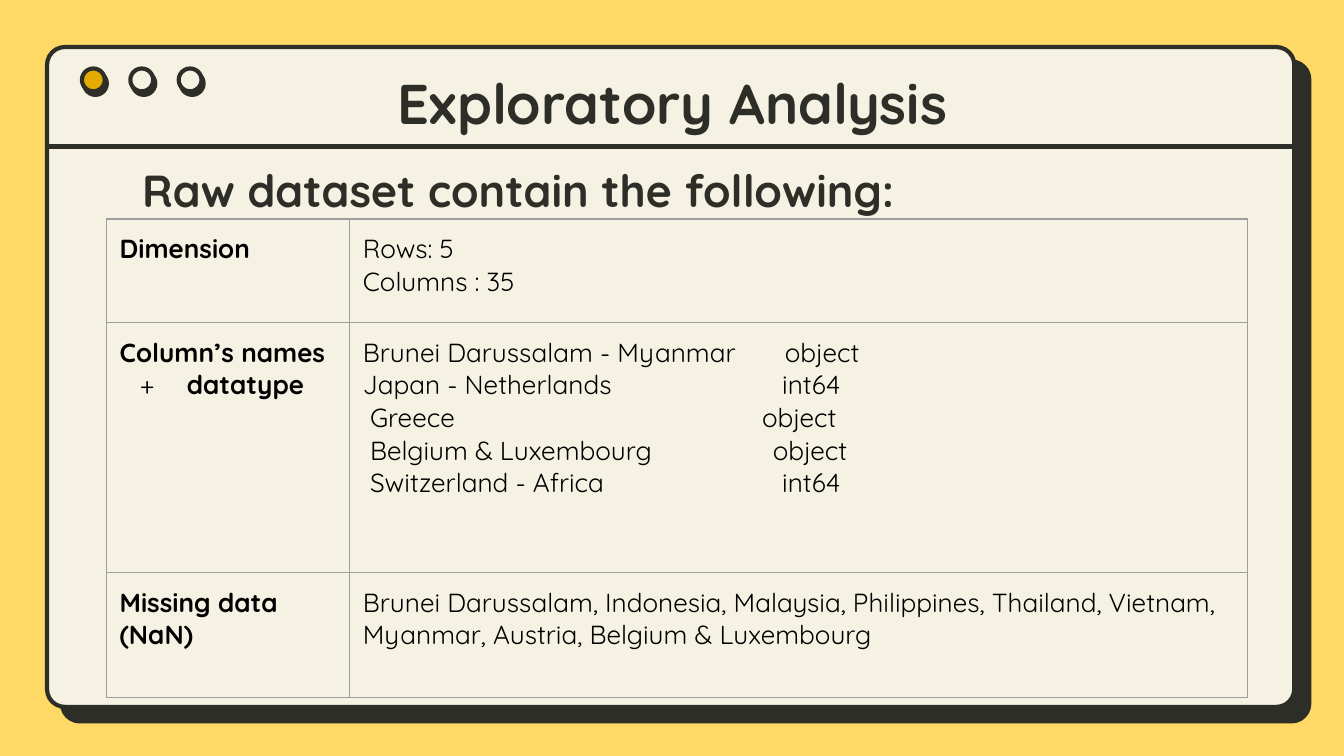
"""Build the Exploratory Analysis slide with a window frame and a dataset table."""
from lxml import etree
from pptx import Presentation
from pptx.dml.color import RGBColor
from pptx.enum.shapes import MSO_CONNECTOR, MSO_SHAPE
from pptx.enum.text import MSO_ANCHOR, PP_ALIGN
from pptx.oxml import parse_xml
from pptx.oxml.ns import qn
from pptx.util import Inches, Pt

ROUND, OVAL = MSO_SHAPE.ROUNDED_RECTANGLE, MSO_SHAPE.OVAL
STRAIGHT = MSO_CONNECTOR.STRAIGHT
TOP, BOTTOM = MSO_ANCHOR.TOP, MSO_ANCHOR.BOTTOM
LEFT, CENTER = PP_ALIGN.LEFT, PP_ALIGN.CENTER

YELLOW = RGBColor(0xFF, 0xD9, 0x66)
CREAM = RGBColor(0xF6, 0xF2, 0xE3)
AMBER = RGBColor(0xE4, 0xAB, 0x00)
DARK = RGBColor(0x2D, 0x2E, 0x27)
BLACK = RGBColor(0, 0, 0)
GREY = RGBColor(0x9E, 0x9E, 0x9E)
FONT = "Quicksand"
NS = 'xmlns:a="http://schemas.openxmlformats.org/drawingml/2006/main"'

WIDTH = 10
HEIGHT = WIDTH * 9 / 16
TITLES = [
    ("Exploratory Analysis", (0.79, 0.58, 8.43, 0.53), 30, BOTTOM),
    ("Raw dataset contain the following:", (0.6, 1.11, 6.51, 0.61), 24, TOP),
]
ROWS = [
    (["Dimension"], ["Rows: 5", "Columns : 35"]),
    (["Column’s names", "datatype"], [
        "Brunei Darussalam - Myanmar\tobject",
        "Japan - Netherlands\tint64",
        " Greece\tobject",
        " Belgium & Luxembourg\tobject",
        " Switzerland - Africa\tint64",
    ]),
    (["Missing data", "(NaN)"], [
        "Brunei Darussalam, Indonesia, Malaysia, Philippines, Thailand, "
        "Vietnam, Myanmar, Austria, Belgium & Luxembourg",
    ]),
]
TYPE_TABS = [3.14, 3.12, 2.97, 3.05, 3.12]
BULLETED = "datatype"
COL_WIDTHS = [1.81, 6.68]
ROW_HEIGHTS = [0.77, 1.86, 0.93]
TABLE_LEFT, TABLE_TOP = 0.79, 1.63
DOT_COLORS = [AMBER, CREAM, CREAM]
DOT_LEFT, DOT_TOP, DOT_SIZE, DOT_STEP = 0.61, 0.51, 0.17, 0.36


def write(tf, lines, size=14, bold=False, color=BLACK, align=LEFT):
    for i, line in enumerate(lines):
        p = tf.paragraphs[0] if i == 0 else tf.add_paragraph()
        p.alignment = align
        r = p.add_run()
        r.text = line
        r.font.name, r.font.size, r.font.bold = FONT, Pt(size), bold
        r.font.color.rgb = color
        pPr = p._p.get_or_add_pPr()
        if line == BULLETED:
            pPr.set("marL", str(Inches(0.5)))
            pPr.set("indent", str(Inches(-0.35)))
            add_xml(pPr, f'<a:buClr {NS}><a:srgbClr val="{BLACK}"/></a:buClr>')
            add_xml(pPr, f'<a:buFont {NS} typeface="{FONT}"/>')
            add_xml(pPr, f'<a:buChar {NS} char="+"/>')
        if "\t" in line:
            tab = Inches(TYPE_TABS[i])
            add_xml(pPr, f'<a:tabLst {NS}><a:tab pos="{tab}" algn="l"/></a:tabLst>')


def add_xml(parent, xml):
    parent.append(parse_xml(xml))


def add_framed(s, kind, box, fill, distance, angle):
    sp = s.shapes.add_shape(kind, *map(Inches, box))
    sp.fill.solid()
    sp.fill.fore_color.rgb = fill
    sp.line.color.rgb = DARK
    sp.line.width = Pt(2.25)
    sp.shadow.inherit = False
    add_xml(sp._element.spPr.find(qn("a:effectLst")),
            f'<a:outerShdw {NS} dist="{Pt(distance)}" dir="{angle * 60000}" algn="bl" '
            f'rotWithShape="0"><a:srgbClr val="{DARK}"/></a:outerShdw>')
    return sp


def add_window(s):
    panel = add_framed(s, ROUND, (0.35, 0.35, 9.28, 4.91), CREAM, 11.2, 44)
    panel.adjustments[0] = 0.027
    rule = s.shapes.add_connector(STRAIGHT, Inches(9.64), Inches(1.09), Inches(0.36), Inches(1.09))
    rule.line.color.rgb = DARK
    rule.line.width = Pt(2.25)
    etree.SubElement(rule._element.spPr, qn("a:effectLst"))
    for i, color in enumerate(DOT_COLORS):
        box = (DOT_LEFT + i * DOT_STEP, DOT_TOP, DOT_SIZE, DOT_SIZE)
        add_framed(s, OVAL, box, color, 2.2, 60)


def add_titles(s):
    for text, box, size, anchor in TITLES:
        tf = s.shapes.add_textbox(*map(Inches, box)).text_frame
        tf.word_wrap = True
        tf.vertical_anchor = anchor
        tf.margin_left = tf.margin_right = tf.margin_top = tf.margin_bottom = Inches(0.1)
        write(tf, [text], size=size, bold=True, color=DARK, align=CENTER)


def format_cell(cell):
    cell.margin_left = cell.margin_right = cell.margin_top = cell.margin_bottom = Inches(0.1)
    cell.fill.background()
    tcPr = cell._tc.get_or_add_tcPr()
    for i, side in enumerate("LRTB"):
        tcPr.insert(i, parse_xml(
            f'<a:ln{side} {NS} w="{Pt(0.75)}"><a:solidFill><a:srgbClr val="{GREY}"/>'
            f'</a:solidFill></a:ln{side}>'))


def add_dataset_table(s):
    size = (sum(COL_WIDTHS), sum(ROW_HEIGHTS))
    table = s.shapes.add_table(len(ROWS), len(COL_WIDTHS),
                               *map(Inches, (TABLE_LEFT, TABLE_TOP, *size))).table
    table.first_row = table.horz_banding = False
    for col, width in zip(table.columns, COL_WIDTHS):
        col.width = Inches(width)
    for row, height, content in zip(table.rows, ROW_HEIGHTS, ROWS):
        row.height = Inches(height)
        for i, (cell, lines) in enumerate(zip(row.cells, content)):
            format_cell(cell)
            write(cell.text_frame, lines, bold=i == 0)


def main():
    prs = Presentation()
    prs.slide_width, prs.slide_height = Inches(WIDTH), Inches(HEIGHT)
    s = prs.slides.add_slide(prs.slide_layouts[6])
    s.background.fill.solid()
    s.background.fill.fore_color.rgb = YELLOW
    add_window(s)
    add_titles(s)
    add_dataset_table(s)
    prs.save("out.pptx")


if __name__ == "__main__":
    main()
